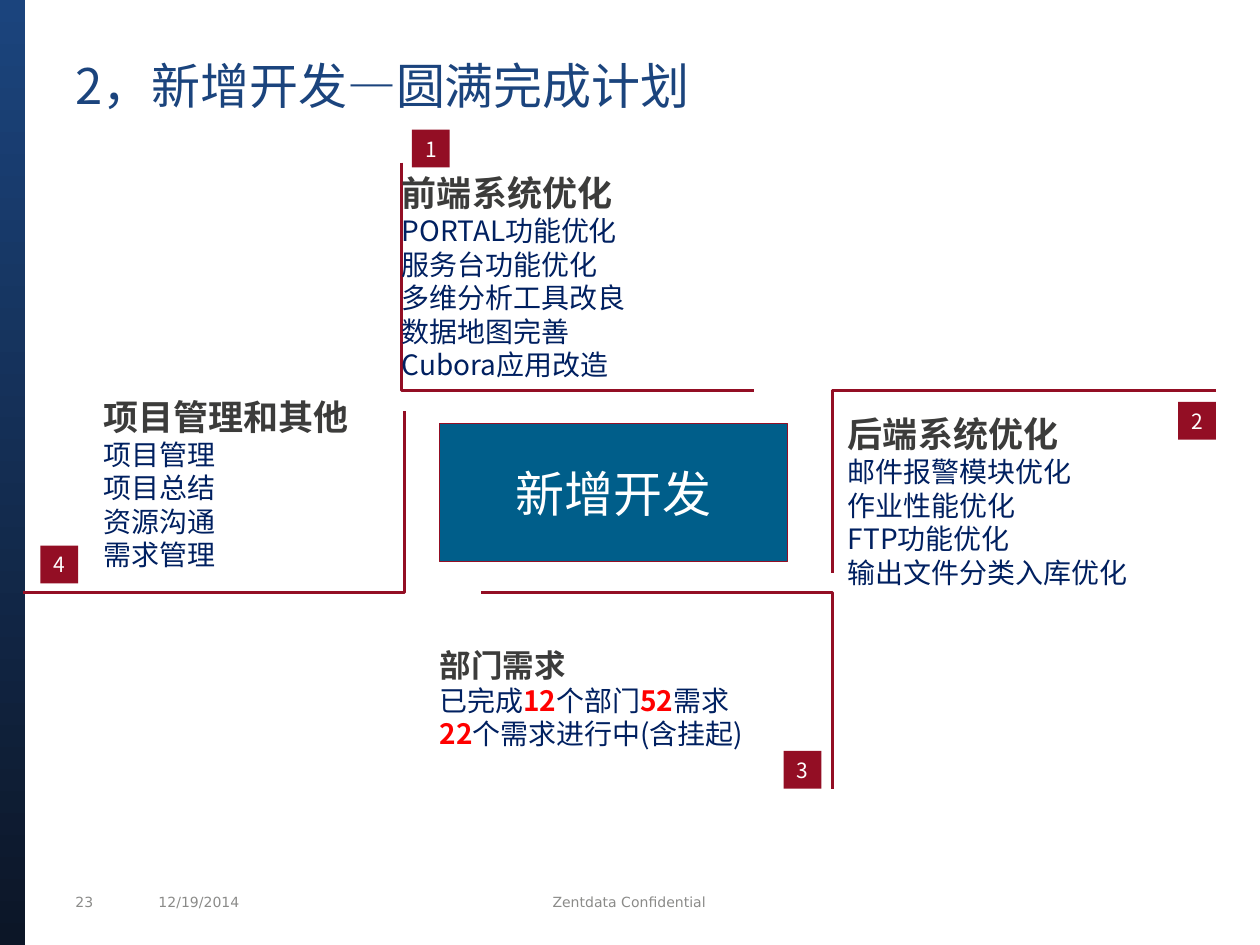
from itertools import groupby

from lxml.etree import SubElement
from pptx import Presentation
from pptx.dml.color import RGBColor
from pptx.enum.shapes import MSO_SHAPE as Preset
from pptx.enum.text import MSO_ANCHOR as Anchor, PP_ALIGN as Align
from pptx.oxml.ns import qn
from pptx.util import Inches, Pt

COLORS = {
    "navy": "1B447D", "midnight": "0C1627", "crimson": "930E24",
    "teal": "005E8A", "white": "FFFFFF", "heading": "3C3C3B",
    "detail": "002060", "highlight": "FF0000", "footer": "8B8B89",
}
CJK_FONT = "Noto Sans CJK SC"
FOOTER_FONT = "DejaVu Sans"
LINE_HEIGHT = 1.2
BADGE_SIZE = 0.3

# Each topic: badge corner, bracket points, text box, heading size, heading, details
TOPICS = [
    ((3.27, 1.03), [(3.19, 1.29), (3.19, 3.1), (5.98, 3.1)],
     (3.19, 1.29, 2.79, 1.81), 20, "前端系统优化",
     ["PORTAL功能优化", "服务台功能优化", "多维分析工具改良", "数据地图完善",
      "Cubora应用改造"]),
    ((9.35, 3.19), [(9.65, 3.1), (6.61, 3.1), (6.61, 4.55)],
     (6.73, 3.27, 2.52, 1.41), 20, "后端系统优化",
     ["邮件报警模块优化", "作业性能优化", "FTP功能优化", "输出文件分类入库优化"]),
    ((6.22, 5.96), [(6.61, 6.26), (6.61, 4.7), (3.82, 4.7)],
     (3.49, 5.12, 2.76, 0.84), 18, "部门需求",
     ["已完成12个部门52需求", "22个需求进行中(含挂起)"]),
    ((0.32, 4.33), [(0.18, 4.7), (3.21, 4.7), (3.21, 3.26)],
     (0.82, 3.13, 2.29, 1.41), 20, "项目管理和其他",
     ["项目管理", "项目总结", "资源沟通", "需求管理"]),
]

FOOTERS = [
    ((0.5, 7.04, 0.5, 0.24), "23", Align.LEFT),
    ((1.16, 7.04, 1.67, 0.24), "12/19/2014", Align.LEFT),
    ((2.91, 7.04, 4.17, 0.24), "Zentdata Confidential", Align.CENTER),
]


def rgb(name):
    return RGBColor.from_string(COLORS[name])


def inches(values):
    return [Inches(value) for value in values]


def style_paragraph(paragraph, size, color=None, bold=False, font=CJK_FONT):
    paragraph.font.size = Pt(size)
    paragraph.font.name = font
    paragraph.font.bold = bold
    if color:
        paragraph.font.color.rgb = rgb(color)
    # East Asian glyphs need their own typeface entry
    defaults = paragraph._p.pPr.find(qn("a:defRPr"))
    SubElement(defaults, qn("a:ea")).set("typeface", font)


def set_frame(frame, side=0, top=0, anchor=Anchor.MIDDLE):
    frame.word_wrap = True
    frame.vertical_anchor = anchor
    frame.margin_left = frame.margin_right = Inches(side)
    frame.margin_top = frame.margin_bottom = Inches(top)
    return frame


def add_label(slide, box, text, size, color, align=Align.LEFT,
              font=CJK_FONT, top=0, anchor=Anchor.MIDDLE):
    frame = set_frame(slide.shapes.add_textbox(*inches(box)).text_frame,
                      0.1, top, anchor)
    label = frame.paragraphs[0]
    label.text = text
    label.alignment = align
    style_paragraph(label, size, color, font=font)
    return label


def add_block(slide, box, text, size, fill, outline=None):
    block = slide.shapes.add_shape(Preset.RECTANGLE, *inches(box))
    block.shadow.inherit = False
    block.fill.solid()
    block.fill.fore_color.rgb = rgb(fill)
    if outline:
        block.line.color.rgb = rgb(outline)
        block.line.width = Pt(0.5)
    else:
        block.line.fill.background()
    caption = set_frame(block.text_frame).paragraphs[0]
    caption.text = text
    caption.alignment = Align.CENTER
    style_paragraph(caption, size, "white")


def add_sidebar(slide):
    sidebar = slide.shapes.add_shape(Preset.RECTANGLE, *inches((0, 0, 0.2, 7.5)))
    sidebar.shadow.inherit = False
    sidebar.line.fill.background()
    sidebar.fill.gradient()
    sidebar.fill.gradient_angle = 90
    for stop, color in zip(sidebar.fill.gradient_stops, ("midnight", "navy")):
        stop.color.rgb = rgb(color)


def add_bracket(slide, points):
    start, *rest = [inches(point) for point in points]
    builder = slide.shapes.build_freeform(*start)
    builder.add_line_segments(rest, close=False)
    bracket = builder.convert_to_shape()
    bracket.shadow.inherit = False
    bracket.fill.background()
    bracket.line.color.rgb = rgb("crimson")
    bracket.line.width = Pt(1.75)


def add_topic_text(slide, box, heading_size, heading, details):
    frame = set_frame(slide.shapes.add_textbox(*inches(box)).text_frame)
    title = frame.paragraphs[0]
    title.text = heading
    title.line_spacing = Pt(heading_size * LINE_HEIGHT)
    style_paragraph(title, heading_size, "heading", bold=True)
    for detail in details:
        line = frame.add_paragraph()
        line.line_spacing = Pt(16 * LINE_HEIGHT)
        style_paragraph(line, 16, "detail")
        # Counts stand out in bold red
        for is_count, characters in groupby(detail, str.isdigit):
            run = line.add_run()
            run.text = "".join(characters)
            if is_count:
                run.font.bold = True
                run.font.color.rgb = rgb("highlight")


def main():
    deck = Presentation()
    deck.slide_width, deck.slide_height = Inches(10), Inches(7.5)
    slide = deck.slides.add_slide(deck.slide_layouts[6])

    # Frame: footer, sidebar and title
    for box, text, align in FOOTERS:
        add_label(slide, box, text, 8, "footer", align, FOOTER_FONT, top=0.05)
    add_sidebar(slide)
    title = add_label(slide, (0.5, 0.44, 9, 0.56), "2，新增开发—圆满完成计划",
                      28, "navy", anchor=Anchor.TOP)
    title.line_spacing = Pt(28 * LINE_HEIGHT)

    # Centre block and the four topics around it
    add_block(slide, (3.49, 3.36, 2.76, 1.1), "新增开发", 28, "teal", "crimson")
    for number, topic in enumerate(TOPICS, start=1):
        corner, points, box, heading_size, heading, details = topic
        add_bracket(slide, points)
        add_topic_text(slide, box, heading_size, heading, details)
        add_block(slide, (*corner, BADGE_SIZE, BADGE_SIZE), str(number), 12,
                  "crimson")

    deck.save("out.pptx")


if __name__ == "__main__":
    main()
